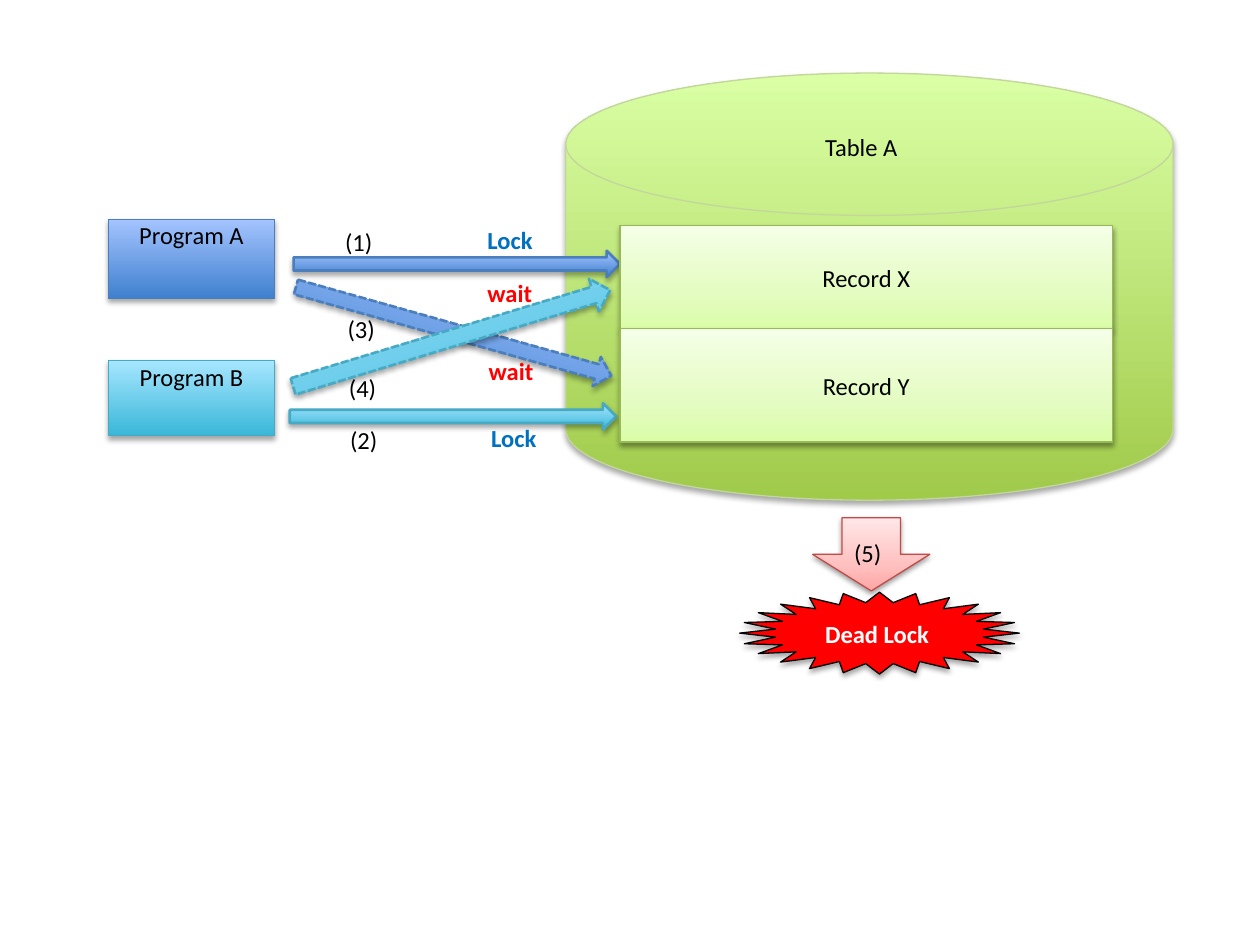
from lxml import etree
from pptx import Presentation
from pptx import util as u
from pptx.dml.color import RGBColor
from pptx.enum import dml, shapes, text
from pptx.oxml import ns

SHAPE = shapes.MSO_SHAPE
# Gradient stops run from bottom to top: position in percent, colour
BLUE = [(0, "3F80CE"), (100, "A4C4FF")]
CYAN = [(0, "39B7D8"), (100, "A7E6FF")]
GREEN = [(0, "A0CA4A"), (100, "DAFFA5")]
PALE_GREEN = [(0, "DAFDA7"), (35, "E4FCC2"), (100, "F5FFE7")]
PINK = [(0, "FFA6A5"), (35, "FFC0BF"), (100, "FFE7E7")]
BLUE_LINE, CYAN_LINE = "4B7EBC", "46AAC5"


def rgb(value):
    """Turn a hex string into a colour."""
    return RGBColor.from_string(value)


def sub(parent, tag, **attrs):
    """Append a DrawingML element to parent."""
    el = etree.SubElement(parent, ns.qn("a:" + tag))
    for name, value in attrs.items():
        el.set(name, str(value))
    return el


def add_gradient(sp, stops):
    """Fill a shape with a bottom-to-top gradient."""
    sp.fill.background()
    no_fill = sp._element.spPr.find(ns.qn("a:noFill"))
    grad = etree.Element(ns.qn("a:gradFill"), rotWithShape="1")
    gs_list = sub(grad, "gsLst")
    for pos, color in stops:
        sub(sub(gs_list, "gs", pos=pos * 1000), "srgbClr", val=color)
    sub(grad, "lin", ang=270 * 60000, scaled=0)
    sp._element.spPr.replace(no_fill, grad)


def add_shadow(sp, alpha, distance):
    """Give a shape a soft shadow straight below it."""
    sp.shadow.inherit = False
    effects = sp._element.spPr.find(ns.qn("a:effectLst"))
    shadow = sub(effects, "outerShdw", blurRad=40000, dist=distance,
                 dir=90 * 60000, rotWithShape=0)
    sub(sub(shadow, "srgbClr", val="000000"), "alpha", val=alpha * 1000)


def add_run(p, content, color="000000", bold=False):
    """Add one formatted run to a paragraph."""
    r = p.add_run()
    r.text = content
    r.font.name, r.font.size, r.font.bold = "Calibri", u.Pt(14), bold
    r.font.color.rgb = rgb(color)


def add_block(s, kind, box, fill, line, width=0.75, dashed=False, rotation=0):
    """Add a shaded preset shape; fill is a hex string or gradient stops."""
    sp = s.shapes.add_shape(kind, *map(u.Inches, box))
    sp.rotation = rotation
    if isinstance(fill, str):
        sp.fill.solid()
        sp.fill.fore_color.rgb = rgb(fill)
    else:
        add_gradient(sp, fill)
    sp.line.color.rgb = rgb(line)
    sp.line.width = u.Pt(width)
    if dashed:
        sp.line.dash_style = dml.MSO_LINE.SQUARE_DOT
    add_shadow(sp, *((38, 20000) if len(fill) == 3 else (35, 23000)))
    return sp


def add_box(s, box, fill, line, content, anchor):
    """Add a rectangle with centred text."""
    tf = add_block(s, SHAPE.RECTANGLE, box, fill, line).text_frame
    tf.margin_left = tf.margin_right = u.Inches(0.08)
    tf.margin_top = tf.margin_bottom = u.Inches(0.01)
    tf.vertical_anchor = anchor
    tf.paragraphs[0].alignment = text.PP_ALIGN.CENTER
    add_run(tf.paragraphs[0], content)


def add_label(s, left, top, width, content, color="000000", bold=False):
    """Add a one-line text label."""
    tf = s.shapes.add_textbox(*map(u.Inches, (left, top, width, 0.25))).text_frame
    tf.word_wrap = True
    add_run(tf.paragraphs[0], content, color, bold)


def add_programs(s):
    """Draw the two programs, their arrows and the step labels."""
    top = text.MSO_ANCHOR.TOP
    add_box(s, (0.86, 1.74, 1.32, 0.63), BLUE, BLUE_LINE, "Program A", top)
    add_box(s, (0.86, 2.86, 1.32, 0.6), CYAN, CYAN_LINE, "Program B", top)
    for left, y, step in ((2.64, 1.75, "(1)"), (2.68, 3.32, "(2)"),
                          (2.66, 2.44, "(3)"), (2.67, 2.91, "(4)")):
        add_label(s, left, y, 0.52, step)
    for box, fill, line, rotation in (
            ((2.33, 1.99, 2.59, 0.21), BLUE, BLUE_LINE, 0),
            ((2.3, 2.51, 2.6, 0.24), BLUE, BLUE_LINE, 15.7),
            ((2.3, 3.2, 2.59, 0.21), CYAN, CYAN_LINE, 0),
            ((2.27, 2.55, 2.63, 0.27), CYAN, CYAN_LINE, 343.1)):
        add_block(s, SHAPE.RIGHT_ARROW, box, fill, line, 1.5,
                  dashed=rotation != 0, rotation=rotation)
    for left, y, state, color in ((3.77, 1.74, "Lock", "0070C0"),
                                  (3.8, 3.31, "Lock", "0070C0"),
                                  (3.77, 2.16, "wait", "FF0000"),
                                  (3.78, 2.78, "wait", "FF0000")):
        add_label(s, left, y, 0.74, state, color, bold=True)


def add_records(s):
    """Draw the records inside the table."""
    for y, height, name in ((1.79, 0.82, "Record X"), (2.61, 0.9, "Record Y")):
        add_box(s, (4.92, y, 3.91, height), PALE_GREEN, "98B955", name,
                text.MSO_ANCHOR.MIDDLE)
    add_label(s, 6.45, 1, 1.06, "Table A")


def add_outcome(s):
    """Draw the resulting dead lock."""
    add_block(s, SHAPE.STAR_24_POINT, (5.87, 4.7, 2.22, 0.65), "FF0000", "000000")
    add_label(s, 6.45, 4.86, 1.27, "Dead Lock", "FFFFFF", bold=True)
    add_block(s, SHAPE.DOWN_ARROW, (6.45, 4.11, 0.93, 0.58), PINK, "BF4C48")
    add_label(s, 6.68, 4.22, 0.47, "(5)")


def main():
    """Build the dead lock slide."""
    prs = Presentation()
    prs.slide_width, prs.slide_height = u.Inches(10), u.Inches(7.5)
    s = prs.slides.add_slide(prs.slide_layouts[6])
    add_block(s, SHAPE.FLOWCHART_MAGNETIC_DISK, (4.49, 0.58, 4.82, 3.39),
              GREEN, "C3D69B")
    add_programs(s)
    add_records(s)
    add_outcome(s)
    prs.save("out.pptx")


main()
